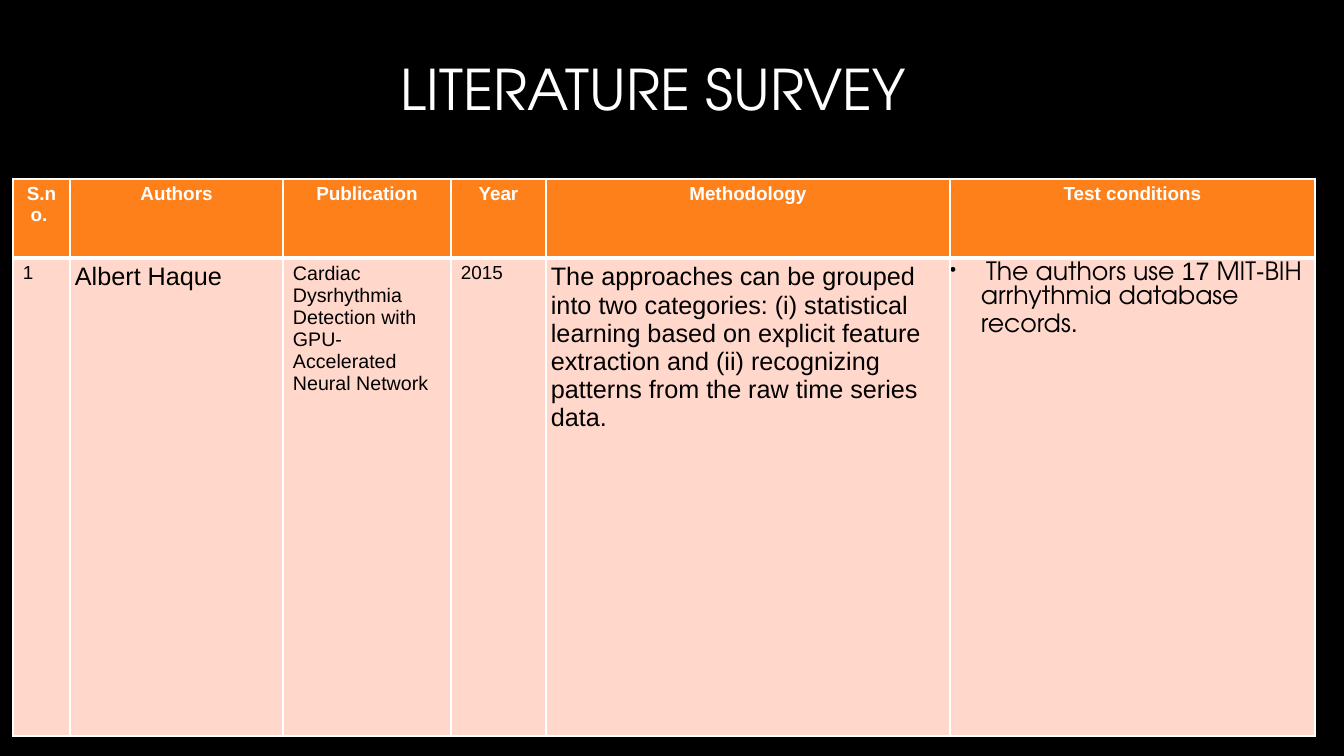
from lxml import etree
from pptx import Presentation
from pptx.dml.color import RGBColor
from pptx.enum.text import MSO_ANCHOR, PP_ALIGN
from pptx.oxml.ns import qn
from pptx.util import Pt

CENTER, LEFT, RIGHT = PP_ALIGN.CENTER, PP_ALIGN.LEFT, PP_ALIGN.RIGHT
MIDDLE = MSO_ANCHOR.MIDDLE

SANS, ROUND = "Arial", "TeX Gyre Adventor"
WHITE, BLACK, ORANGE, PINK = "FFFFFF", "000000", "FE801A", "FFD7CB"

TITLE = "LITERATURE SURVEY"
HEADS = ["S.no. ", "Authors", "Publication", "Year", "Methodology", "Test conditions"]
# Each body cell: side inset in px, then runs of (text, size, font)
BODY = [
    (10, [("1", 13.5, SANS)]),
    (5, [("Albert Haque", 18, SANS)]),
    (10, [("Cardiac Dysrhythmia Detection with GPU-Accelerated Neural Network", 14, SANS)]),
    (10, [("2015", 13.5, SANS)]),
    (5, [("The approaches can be grouped into two categories: (i) statistical "
          "learning based on explicit feature extraction and (ii) recognizing "
          "patterns from the raw time series data.", 18, SANS)]),
    (0, [(" ", 13.5, ROUND), ("The authors use ", 18, ROUND), ("17", 18, SANS),
         (" MIT", 18, ROUND), ("-", 18, SANS),
         ("BIH arrhythmia database records", 18, ROUND), (".", 18, SANS)]),
]
COLS = [57, 213, 168, 95, 404, 365]
ROWS = [79, 478]


def px(n):
    return round(n * 914400 / 100.8)


def color(code):
    return RGBColor.from_string(code)


def write(para, runs, ink, align, bold=False):
    para.alignment = align
    for text, size, face in runs:
        run = para.add_run()
        run.text = text
        font = run.font
        font.size, font.name, font.bold = Pt(size), face, bold
        font.color.rgb = color(ink)


def edge(cell, sides):
    """Draw white borders; sides maps L, R, T, B to widths in points."""
    props = cell._tc.get_or_add_tcPr()
    for spot, side in enumerate("LRTB"):
        line = etree.Element(qn("a:ln" + side), w=str(Pt(sides[side])))
        fill = etree.SubElement(line, qn("a:solidFill"))
        etree.SubElement(fill, qn("a:srgbClr"), val=WHITE)
        props.insert(spot, line)


def bullet(para, indent):
    props = para._p.get_or_add_pPr()
    props.set("marL", str(px(indent)))
    props.set("indent", str(-px(indent)))
    tint = etree.SubElement(props, qn("a:buClr"))
    etree.SubElement(tint, qn("a:srgbClr"), val=BLACK)
    etree.SubElement(props, qn("a:buChar"), char="•")


def style(cell, fill, pad, sides):
    cell.fill.solid()
    cell.fill.fore_color.rgb = color(fill)
    cell.margin_left = cell.margin_right = px(pad)
    cell.margin_top = cell.margin_bottom = px(min(pad, 5))
    edge(cell, sides)


def add_title(slide):
    box = slide.shapes.add_textbox(px(-34), px(21), px(950), px(142))
    frame = box.text_frame
    frame.word_wrap = True
    frame.vertical_anchor = MIDDLE
    para = frame.paragraphs[0]
    para.line_spacing = 0.9
    write(para, [(TITLE, 40, ROUND)], WHITE, RIGHT)


def add_survey(slide):
    table = slide.shapes.add_table(len(ROWS), len(COLS), px(13), px(179),
                                   px(sum(COLS)), px(sum(ROWS))).table
    for row, high in zip(table.rows, ROWS):
        row.height = px(high)
    for i, (wide, head, (pad, runs)) in enumerate(zip(COLS, HEADS, BODY)):
        table.columns[i].width = px(wide)
        top, low = table.cell(0, i), table.cell(1, i)
        style(top, ORANGE, 10, {"L": 1, "R": 1, "T": 1, "B": 3})
        write(top.text_frame.paragraphs[0], [(head, 13.5, SANS)], WHITE, CENTER, True)
        style(low, PINK, pad, {"L": 1, "R": 1, "T": 3, "B": 1})
        para = low.text_frame.paragraphs[0]
        if pad == 0:
            bullet(para, 31)
        write(para, runs, BLACK, LEFT)


def main():
    deck = Presentation()
    deck.slide_width, deck.slide_height = px(1344), px(756)
    slide = deck.slides.add_slide(deck.slide_layouts[6])
    back = slide.background.fill
    back.solid()
    back.fore_color.rgb = color(BLACK)
    add_title(slide)
    add_survey(slide)
    deck.save("out.pptx")


if __name__ == "__main__":
    main()
